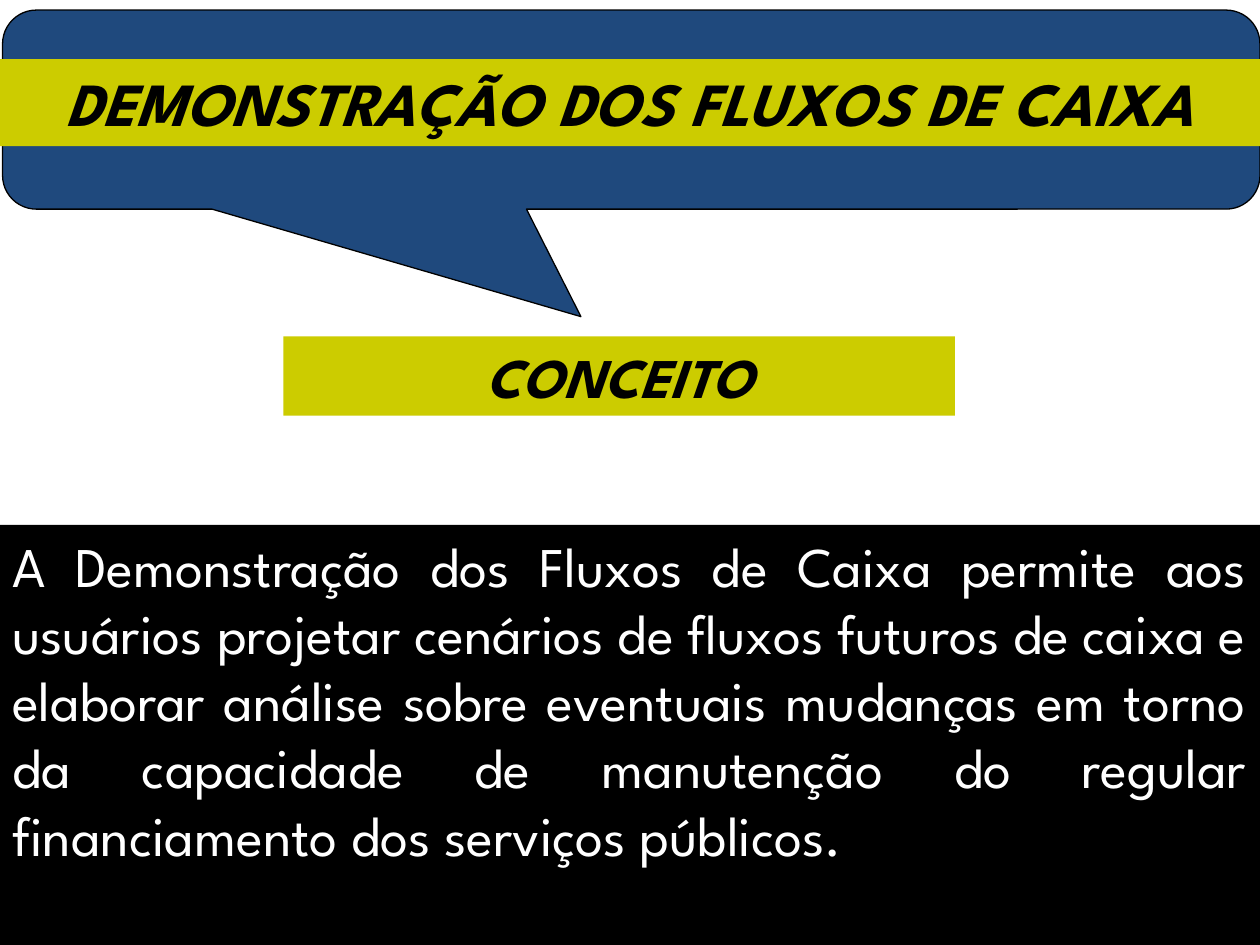
from pptx import Presentation
from pptx.dml.color import RGBColor
from pptx.enum.shapes import MSO_SHAPE
from pptx.enum.text import MSO_ANCHOR, MSO_AUTO_SIZE, PP_ALIGN
from pptx.util import Inches, Pt

WIDTH, HEIGHT = 10, 7.5
FONT = "League Spartan"
BLUE, LIME, BLACK, WHITE = "1F497D", "CCCC00", "000000", "FFFFFF"


def paint(fmt, color):
    """Give a fill a solid colour."""
    fmt.solid()
    fmt.fore_color.rgb = RGBColor.from_string(color)


def place(sp, left, top, width, height):
    sp.left, sp.top = Inches(left), Inches(top)
    sp.width, sp.height = Inches(width), Inches(height)


def add_callout(s):
    sp = s.shapes.add_shape(MSO_SHAPE.ROUNDED_RECTANGULAR_CALLOUT,
                            Inches(0.02), Inches(0.08), Inches(9.98), Inches(1.58))
    for i, value in enumerate((-0.04, 1.04, 0.17)):
        sp.adjustments[i] = value
    sp.shadow.inherit = False
    paint(sp.fill, BLUE)
    paint(sp.line.fill, BLACK)
    sp.line.width = Pt(0.75)
    return sp


def write_band(sp, text, fill, color, size, align, emphasis=False):
    """Fill a text shape and set its single paragraph."""
    paint(sp.fill, fill)
    tf = sp.text_frame
    tf.word_wrap = True
    tf.auto_size = MSO_AUTO_SIZE.NONE
    tf.vertical_anchor = MSO_ANCHOR.TOP
    p = tf.paragraphs[0]
    p.text = text
    p.alignment = align
    font = p.font
    font.name, font.size = FONT, Pt(size)
    font.bold = font.italic = emphasis
    font.color.rgb = RGBColor.from_string(color)


def add_band(s, box, *args, **kwargs):
    sp = s.shapes.add_textbox(0, 0, 0, 0)
    place(sp, *box)
    write_band(sp, *args, **kwargs)


def main():
    prs = Presentation()
    prs.slide_width, prs.slide_height = Inches(WIDTH), Inches(HEIGHT)
    s = prs.slides.add_slide(prs.slide_layouts[5])

    callout = add_callout(s)
    title = s.shapes.title
    callout._element.addnext(title._element)  # title in front of the callout
    place(title, 0, 0.47, WIDTH, 0.69)
    write_band(title, "DEMONSTRAÇÃO DOS FLUXOS DE CAIXA",
               LIME, BLACK, 35, PP_ALIGN.CENTER, emphasis=True)

    add_band(s, (2.25, 2.67, 5.33, 0.63), "CONCEITO",
             LIME, BLACK, 32, PP_ALIGN.CENTER, emphasis=True)
    top = HEIGHT * 5 / 9
    add_band(s, (0, top, WIDTH, HEIGHT - top),
             "A Demonstração dos Fluxos de Caixa permite aos usuários projetar "
             "cenários de fluxos futuros de caixa e elaborar análise sobre "
             "eventuais mudanças em torno da capacidade de manutenção do regular "
             "financiamento dos serviços públicos.",
             BLACK, WHITE, 32, PP_ALIGN.JUSTIFY)
    prs.save("out.pptx")


if __name__ == "__main__":
    main()
